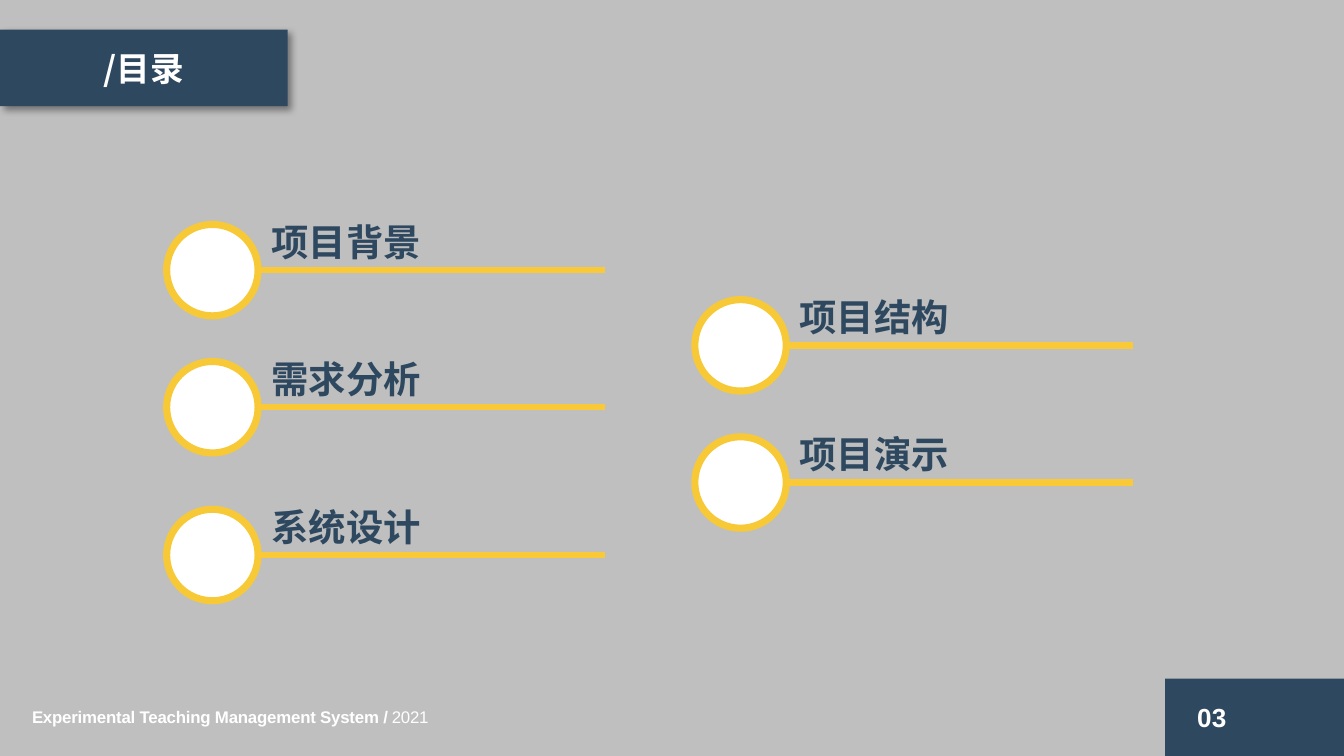
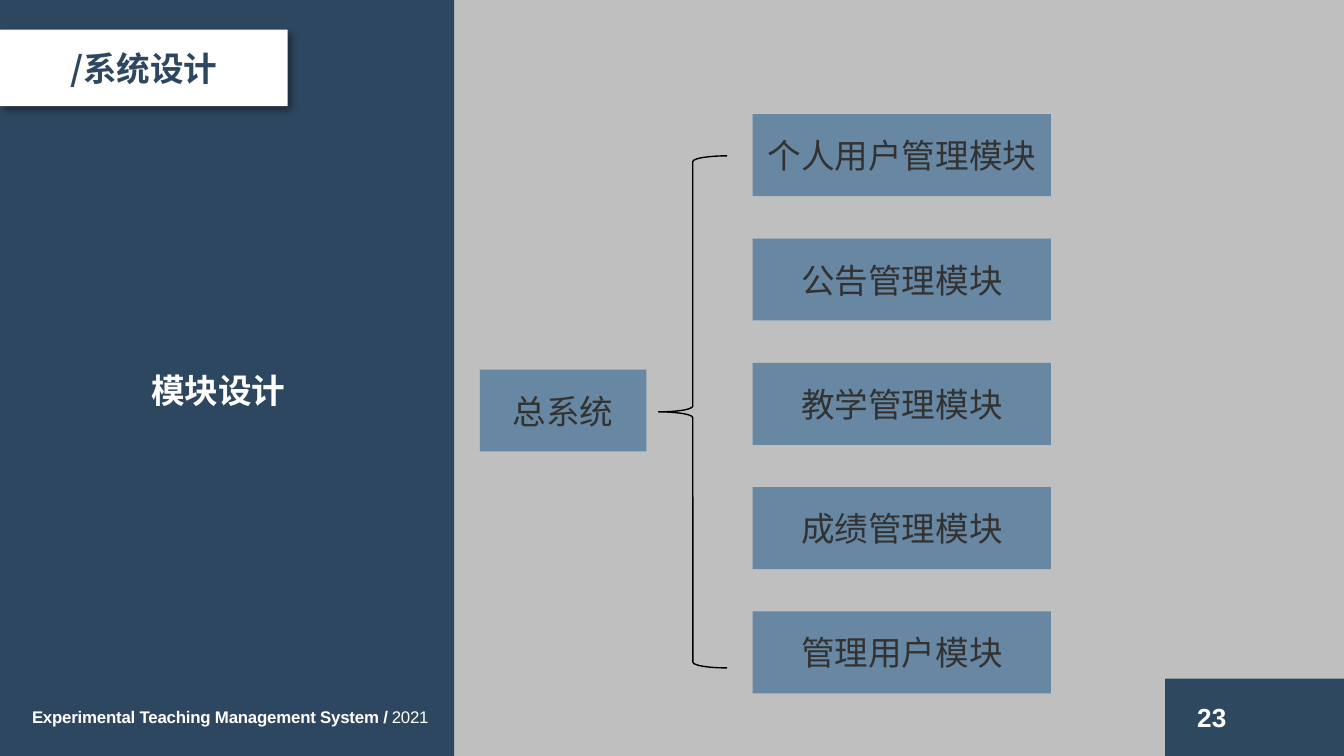
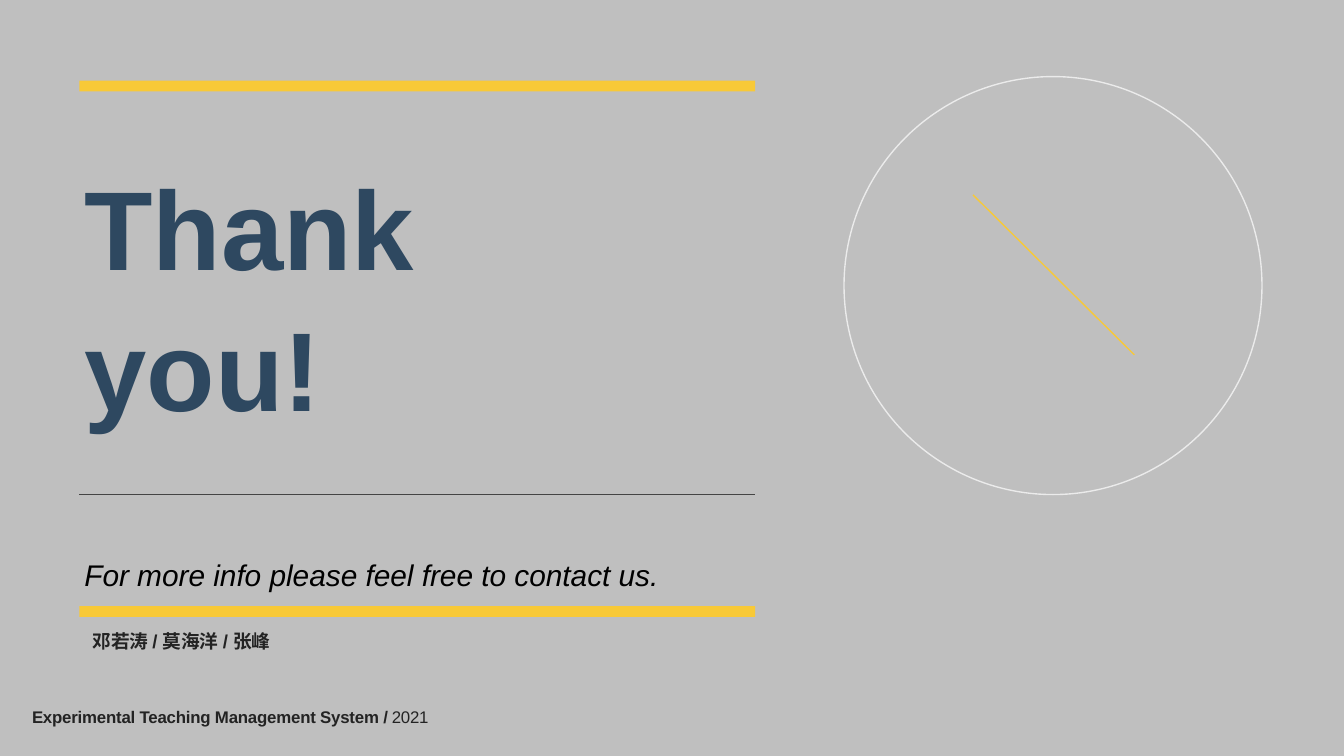
from typing import NamedTuple

from lxml.etree import SubElement
from pptx import Presentation
from pptx.dml.color import RGBColor
from pptx.enum.shapes import MSO_CONNECTOR, MSO_SHAPE
from pptx.enum.text import MSO_ANCHOR, MSO_AUTO_SIZE, PP_ALIGN
from pptx.oxml.ns import qn
from pptx.util import Inches, Pt

NAVY = RGBColor(0x2E, 0x48, 0x60)
PANEL_NAVY = RGBColor(0x2E, 0x47, 0x60)
STEEL = RGBColor(0x67, 0x87, 0xA2)
YELLOW = RGBColor(0xF8, 0xC9, 0x37)
LINE_YELLOW = RGBColor(0xF9, 0xC9, 0x37)
GRAY = RGBColor(0xBF, 0xBF, 0xBF)
PALE = RGBColor(0xEB, 0xEB, 0xEB)
RULE_GRAY = RGBColor(0x44, 0x44, 0x44)
MODULE_INK = RGBColor(0x32, 0x32, 0x32)
DARK = RGBColor(0x23, 0x23, 0x23)
BLACK = RGBColor(0, 0, 0)
WHITE = RGBColor(0xFF, 0xFF, 0xFF)

LATIN = "Arial"
CHINESE = "Noto Sans CJK SC"

# The slide is a grid of square cells, 100 columns by 56.25 rows.
COLUMNS, ROWS = 100, 56.25
CELL = Inches(10) // COLUMNS


class Box(NamedTuple):
    left: float
    top: float
    width: float
    height: float

    def inner(self, left, top, width, height):
        """Return a box measured from this box's corner."""
        return Box(self.left + left, self.top + top, width, height)

    def lengths(self):
        return [round(cells * CELL) for cells in self]


PAGE = Box(0, 0, COLUMNS, ROWS)


def add_page(deck):
    page = deck.slides.add_slide(deck.slide_layouts[6])
    page.background.fill.solid()
    page.background.fill.fore_color.rgb = GRAY
    return page


def add_figure(page, kind, box, fill=None, line=None, weight=0.75):
    shape = page.shapes.add_shape(kind, *box.lengths())
    shape.shadow.inherit = False
    if fill is None:
        shape.fill.background()
    else:
        shape.fill.solid()
        shape.fill.fore_color.rgb = fill
    if line is None:
        shape.line.fill.background()
    else:
        shape.line.color.rgb = line
        shape.line.width = Pt(weight)
    frame = shape.text_frame
    frame.word_wrap = True
    frame.vertical_anchor = MSO_ANCHOR.MIDDLE
    return shape


def add_line(page, box, color, weight):
    """Draw from the box's top left corner to its bottom right corner."""
    left, top, width, height = box.lengths()
    line = page.shapes.add_connector(
        MSO_CONNECTOR.STRAIGHT, left, top, left + width, top + height)
    line.line.color.rgb = color
    line.line.width = Pt(weight)
    SubElement(line._element.spPr, qn("a:effectLst"))


def write(frame, text, size=18, color=WHITE, bold=False, italic=False,
          font=LATIN, align=PP_ALIGN.LEFT, spacing=0, leading=None):
    """Append a formatted span to the frame's first paragraph."""
    para = frame.paragraphs[0]
    para.alignment = align
    if leading:
        para.line_spacing = leading
    span = para.add_run()
    span.text = text
    span.font.size = Pt(size)
    span.font.bold = bold
    span.font.italic = italic
    span.font.color.rgb = color
    span.font.name = font
    properties = span.font._element
    SubElement(properties, qn("a:ea")).set("typeface", CHINESE)
    if spacing:
        properties.set("spc", str(round(spacing * 100)))


def add_text(page, box, text, **style):
    frame = page.shapes.add_textbox(*box.lengths()).text_frame
    frame.word_wrap = True
    frame.auto_size = MSO_AUTO_SIZE.SHAPE_TO_FIT_TEXT
    write(frame, text, **style)
    return frame


def add_footer(page, color=WHITE):
    frame = add_text(page, PAGE.inner(1.4, 52.1, 32.3, 2.5),
                     "Experimental Teaching Management System / ",
                     size=9, color=color, bold=True, spacing=-0.1)
    write(frame, "2021", size=9, color=color, spacing=-0.1)


def add_page_number(page, number):
    corner = PAGE.inner(86.7, 50.5, 13.3, 5.9)
    add_figure(page, MSO_SHAPE.RECTANGLE, corner, NAVY)
    add_text(page, corner.inner(1.4, 1.2, 5, 3.4), number, size=14, bold=True)


def add_title_band(page, title, fill, color, font):
    band = add_figure(page, MSO_SHAPE.RECTANGLE,
                      PAGE.inner(0, 2.2, 21.4, 5.7), fill)
    effects = band._element.spPr.find(qn("a:effectLst"))
    shadow = SubElement(effects, qn("a:outerShdw"), blurRad=str(Pt(4)),
                        dist=str(Pt(3)), dir="2700000", algn="tl",
                        rotWithShape="0")
    tint = SubElement(shadow, qn("a:srgbClr"), val="000000")
    SubElement(tint, qn("a:alpha"), val="40000")
    for text, face in (("/", CHINESE), (title, font)):
        write(band.text_frame, text, color=color, bold=True, font=face,
              align=PP_ALIGN.CENTER)


def add_entry(page, box, label):
    dot = 6.8
    add_figure(page, MSO_SHAPE.OVAL, box.inner(0, 0.9, dot, dot),
               WHITE, YELLOW, 3.8)
    rest = box.width - dot
    add_line(page, box.inner(dot, 0.9 + dot / 2, rest, 0), LINE_YELLOW, 3.5)
    add_text(page, box.inner(dot, 0, rest, 4.4), label,
             size=20, color=NAVY, bold=True)


def add_module(page, box, name):
    module = add_figure(page, MSO_SHAPE.RECTANGLE, box, STEEL)
    write(module.text_frame, name, color=MODULE_INK, font=CHINESE,
          align=PP_ALIGN.CENTER)


def add_module_tree(page, box, root, names):
    height, pitch = 6.1, 9.25
    for index, name in enumerate(names):
        add_module(page, box.inner(20.3, index * pitch, 22.2, height), name)
    add_figure(page, MSO_SHAPE.LEFT_BRACE, box.inner(13.3, 3.1, 5.1, 38.1),
               line=BLACK)
    add_module(page, box.inner(0, 19, 12.4, height), root)


def add_closing_text(page, box):
    add_text(page, box.inner(-0.6, 4.8, 42, 21.2), "Thank you!",
             size=60, color=NAVY, bold=True, leading=1.05)
    add_line(page, box.inner(0, 30.8, box.width, 0), RULE_GRAY, 0.75)
    add_text(page, box.inner(-0.6, 34.9, 47.6, 3.7),
             "For more info please feel free to contact us.",
             size=16, color=BLACK, italic=True)
    for top in (0, 39.1):
        add_figure(page, MSO_SHAPE.RECTANGLE,
                   box.inner(0, top, box.width, 0.8), YELLOW)
    add_text(page, box.inner(0, 40.4, 32.3, 2.7), "邓若涛 / 莫海洋 / 张峰",
             size=10, color=DARK, bold=True)


def add_ring(page, box):
    add_line(page, box.inner(9.6, 8.8, 12, 11.9), YELLOW, 0.75)
    add_figure(page, MSO_SHAPE.OVAL, box, line=PALE)


def build_contents(deck):
    page = add_page(deck)
    add_page_number(page, "03")
    add_footer(page)
    add_title_band(page, "目录", NAVY, WHITE, CHINESE)
    columns = (
        (12.4, {"项目背景": 15.8, "需求分析": 26, "系统设计": 37}),
        (51.7, {"项目结构": 21.4, "项目演示": 31.6}),
    )
    for left, entries in columns:
        for label, top in entries.items():
            add_entry(page, PAGE.inner(left, top, 32.6, 7.7), label)


def build_modules(deck):
    page = add_page(deck)
    panel = PAGE.inner(0, 0, 33.8, ROWS)
    add_figure(page, MSO_SHAPE.RECTANGLE, panel, PANEL_NAVY)
    add_page_number(page, "23")
    add_title_band(page, "系统设计", WHITE, PANEL_NAVY, LATIN)
    add_footer(page)
    add_text(page, panel.inner(1.4, 27, 29.7, 4), "模块设计",
             bold=True, align=PP_ALIGN.CENTER)
    add_module_tree(
        page, PAGE.inner(35.7, 8.5, 42.5, 43.1), "总系统",
        ("个人用户管理模块", "公告管理模块", "教学管理模块",
         "成绩管理模块", "管理用户模块"))


def build_closing(deck):
    page = add_page(deck)
    add_closing_text(page, PAGE.inner(5.9, 6, 50.3, 43.1))
    add_ring(page, PAGE.inner(62.8, 5.7, 31.1, 31.1))
    add_footer(page, DARK)


def main():
    deck = Presentation()
    deck.slide_width = CELL * COLUMNS
    deck.slide_height = round(CELL * ROWS)
    for build in (build_contents, build_modules, build_closing):
        build(deck)
    deck.save("out.pptx")


if __name__ == "__main__":
    main()
